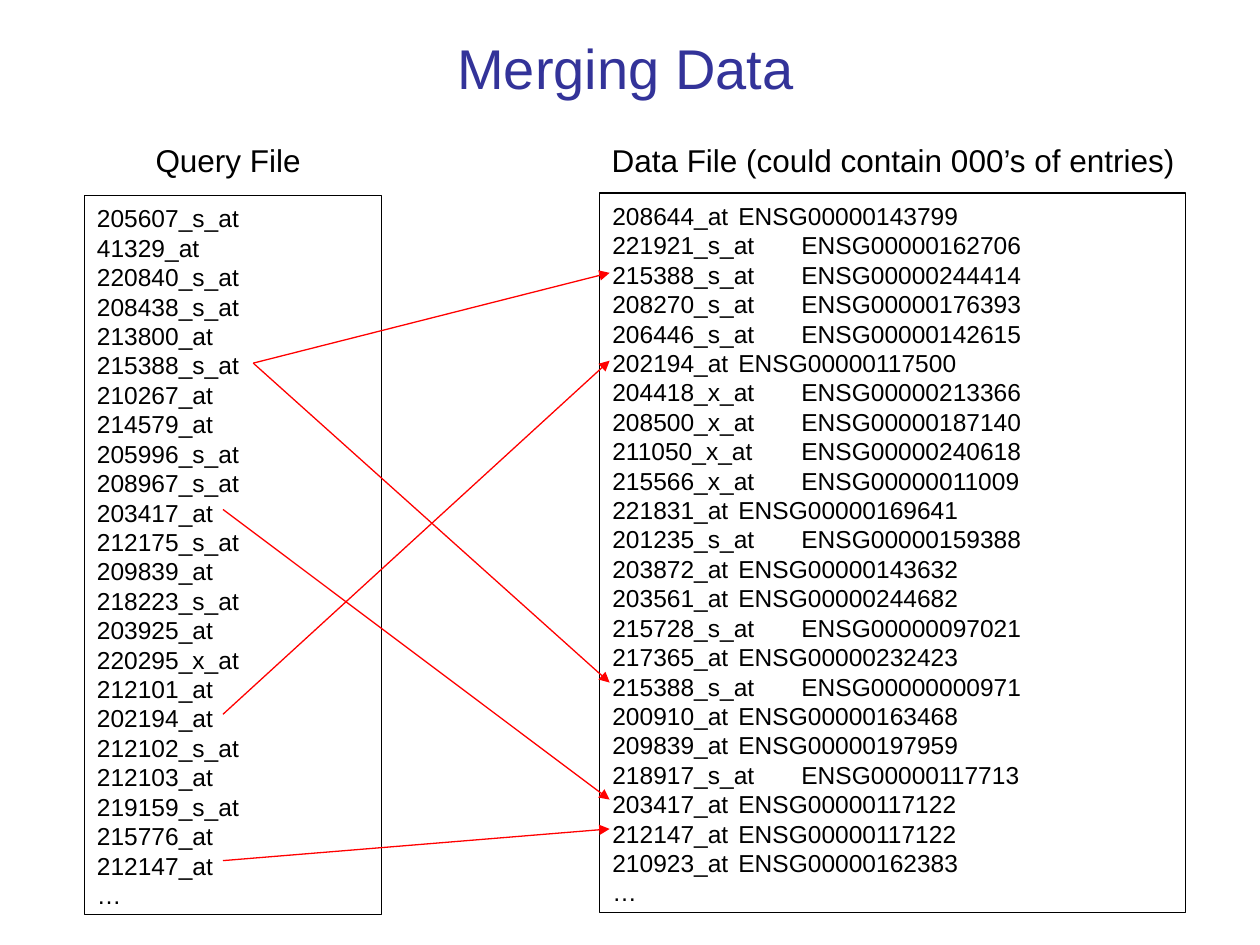
from dataclasses import dataclass

from lxml.etree import SubElement as Sub
from pptx import Presentation
from pptx.dml.color import RGBColor as RGB
from pptx.enum.shapes import MSO_CONNECTOR as Conn
from pptx.enum.text import MSO_ANCHOR as Anchor, MSO_AUTO_SIZE as Auto, PP_ALIGN as Align
from pptx.oxml.ns import qn
from pptx.util import Cm, Pt


@dataclass(frozen=True)
class Theme:
    font: str = "Arial"
    title: RGB = RGB(0x33, 0x33, 0x99)
    ink: RGB = RGB(0, 0, 0)
    link: RGB = RGB(0xFF, 0, 0)
    big: float = 32
    mid: float = 18
    small: float = 14
    lead: float = 16.8
    line: float = 0.75


@dataclass(frozen=True)
class Box:
    x: float
    y: float
    w: float
    h: float


THEME = Theme()
TAB = 5.08                    # second column, from the text edge
FIRST, PITCH = 0.43, 0.59     # arrow height at the first row, and per row
PAD, CHAR = 0.05, 0.305       # arrow start, by length of the entry

QUERY = """205607_s_at 41329_at 220840_s_at 208438_s_at 213800_at 215388_s_at
210267_at 214579_at 205996_s_at 208967_s_at 203417_at 212175_s_at 209839_at
218223_s_at 203925_at 220295_x_at 212101_at 202194_at 212102_s_at 212103_at
219159_s_at 215776_at 212147_at …""".split()

DATA = [row.split() for row in """208644_at ENSG00000143799
221921_s_at ENSG00000162706
215388_s_at ENSG00000244414
208270_s_at ENSG00000176393
206446_s_at ENSG00000142615
202194_at ENSG00000117500
204418_x_at ENSG00000213366
208500_x_at ENSG00000187140
211050_x_at ENSG00000240618
215566_x_at ENSG00000011009
221831_at ENSG00000169641
201235_s_at ENSG00000159388
203872_at ENSG00000143632
203561_at ENSG00000244682
215728_s_at ENSG00000097021
217365_at ENSG00000232423
215388_s_at ENSG00000000971
200910_at ENSG00000163468
209839_at ENSG00000197959
218917_s_at ENSG00000117713
203417_at ENSG00000117122
212147_at ENSG00000117122
210923_at ENSG00000162383
…""".splitlines()]

LINKED = ["202194_at", "215388_s_at", "203417_at", "212147_at"]


def place(holder, box):
    """Move a placeholder to its box and return its text frame."""
    holder.left, holder.top = Cm(box.x), Cm(box.y)
    holder.width, holder.height = Cm(box.w), Cm(box.h)
    frame = holder.text_frame
    frame.word_wrap = True
    frame.auto_size = Auto.NONE
    return frame


def write(para, text, size, color):
    run = para.add_run()
    run.text = text
    font = run.font
    font.name, font.size, font.bold = THEME.font, Pt(size), False
    font.color.rgb = color


def head(holder, box, text, size, color):
    """One centred line, for the title and the list headings."""
    frame = place(holder, box)
    frame.vertical_anchor = Anchor.MIDDLE
    para = frame.paragraphs[0]
    para.alignment = Align.CENTER
    para.space_before = Pt(0)
    write(para, text, size, color)


def listing(holder, box, rows):
    """A framed list without bullets, one entry a row."""
    frame = place(holder, box)
    frame.vertical_anchor = Anchor.TOP
    frame.margin_top = Cm(0.16)
    holder.line.color.rgb = THEME.ink
    holder.line.width = Pt(THEME.line)
    for i, row in enumerate(rows):
        para = frame.add_paragraph() if i else frame.paragraphs[0]
        para.alignment = Align.LEFT
        para.space_before = Pt(0)
        para.line_spacing = Pt(THEME.lead)
        props = para._p.get_or_add_pPr()
        props.set("marL", "0")
        props.set("indent", "0")
        Sub(props, qn("a:buNone"))
        tabs = Sub(props, qn("a:tabLst"))
        Sub(tabs, qn("a:tab"), pos=str(Cm(TAB)), algn="l")
        write(para, row, THEME.small, THEME.ink)


def arrow(shapes, start, end):
    link = shapes.add_connector(Conn.STRAIGHT, *map(Cm, start + end))
    link.line.color.rgb = THEME.link
    link.line.width = Pt(THEME.line)
    Sub(link.line._get_or_add_ln(), qn("a:tailEnd"), type="triangle")
    Sub(link._element.spPr, qn("a:effectLst"))


def links(shapes, left, right):
    """Join each linked entry to all its matches in the data."""
    def level(box, row):
        return box.y + FIRST + row * PITCH

    for name in LINKED:
        start = (left.x + PAD + CHAR * len(name), level(left, QUERY.index(name)))
        for i, row in enumerate(DATA):
            if row[0] == name:
                arrow(shapes, start, (right.x + 0.2, level(right, i)))


def main():
    deck = Presentation()
    deck.slide_width, deck.slide_height = Cm(25.4), Cm(19.05)
    slide = deck.slides.add_slide(deck.slide_layouts.get_by_name("Comparison"))
    title, qhead, qlist, dhead, dlist = slide.placeholders
    left = Box(1.7, 3.94, 5.99, 14.5)
    right = Box(12.09, 3.89, 11.81, 14.5)

    # Title and headings
    head(title, Box(0.51, 0.53, 24.2, 1.63), "Merging Data", THEME.big, THEME.title)
    head(qhead, Box(1.91, 2.72, 5.38, 1.02), "Query File", THEME.mid, THEME.ink)
    head(dhead, Box(11.91, 2.72, 12.19, 1.02),
         "Data File (could contain 000’s of entries)", THEME.mid, THEME.ink)

    # Lists and the arrows between them
    listing(qlist, left, QUERY)
    listing(dlist, right, ["\t".join(row) for row in DATA])
    links(slide.shapes, left, right)

    deck.save("out.pptx")


if __name__ == "__main__":
    main()
